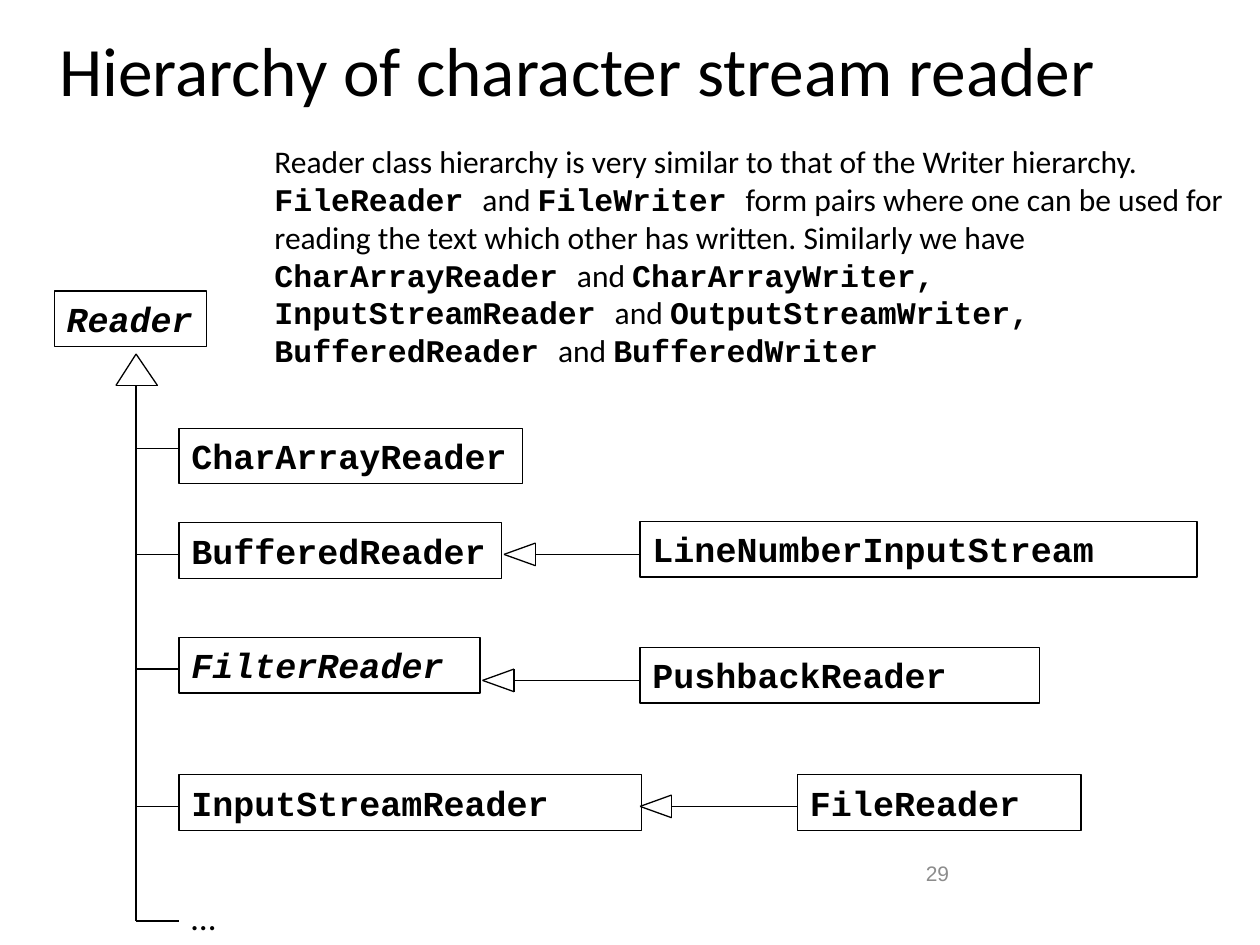
from dataclasses import dataclass
from pptx import Presentation
from pptx.dml.color import RGBColor
from pptx.enum.shapes import MSO_CONNECTOR, MSO_SHAPE
from pptx.enum.text import MSO_ANCHOR, MSO_AUTO_SIZE, PP_ALIGN
from pptx.oxml.ns import qn
from pptx.util import Inches, Pt
from lxml import etree


@dataclass(frozen=True)
class Theme:
    ink: RGBColor = RGBColor(0, 0, 0)
    paper: RGBColor = RGBColor(255, 255, 255)
    muted: RGBColor = RGBColor(0x8C, 0x8C, 0x8C)
    sans: str = "Calibri"
    code: str = "Courier New"
    number: str = "Arial"
    title_size: float = 39.6
    class_size: float = 20
    body_size: float = 18
    number_size: float = 12
    line_width: float = 0.75


class Diagram:
    def __init__(self, slide, theme):
        self.s, self.theme = slide, theme

    def fill_text(self, sp, paragraphs, anchor=MSO_ANCHOR.TOP, align=PP_ALIGN.LEFT,
                  wrap=True, grow=False, **style):
        """Each paragraph is a list of (text, font overrides)."""
        tf = sp.text_frame
        tf.auto_size = MSO_AUTO_SIZE.SHAPE_TO_FIT_TEXT if grow else MSO_AUTO_SIZE.NONE
        tf.word_wrap, tf.vertical_anchor = wrap, anchor
        for i, runs in enumerate(paragraphs):
            p = tf.add_paragraph() if i else tf.paragraphs[0]
            p.alignment = align
            for text, extra in runs:
                r = p.add_run()
                r.text = text
                fmt = {"name": self.theme.sans, "color": self.theme.ink, **style, **extra}
                r.font.color.rgb = fmt.pop("color")
                r.font.size = Pt(fmt.pop("size"))
                for key, value in fmt.items():
                    setattr(r.font, key, value)

    def text(self, at, paragraphs, **style):
        sp = self.s.shapes.add_textbox(*map(Inches, at))
        self.fill_text(sp, paragraphs, **style)

    def class_box(self, left, top, width, name, wrap=False, italic=False):
        sp = self.s.shapes.add_shape(
            MSO_SHAPE.RECTANGLE, *map(Inches, (left, top, width, BOX_HEIGHT)))
        sp.shadow.inherit = False
        sp.fill.background()
        sp.line.color.rgb = self.theme.ink
        sp.line.width = Pt(self.theme.line_width)
        self.fill_text(sp, [[(name, {})]], wrap=wrap, grow=True, name=self.theme.code,
                       size=self.theme.class_size, bold=True, italic=italic)

    def line(self, start, end, shapes=None):
        shapes = self.s.shapes if shapes is None else shapes
        c = shapes.add_connector(MSO_CONNECTOR.STRAIGHT, *map(Inches, (*start, *end)))
        c.line.color.rgb = self.theme.ink
        c.line.width = Pt(self.theme.line_width)
        etree.SubElement(c._element.spPr, qn("a:effectLst"))

    def triangle(self, tip, a, b):
        group = self.s.shapes.add_group_shape()
        for start, end in ((tip, a), (tip, b), (a, b)):
            self.line(start, end, group.shapes)

    def inherits(self, tip_x, y, from_x):
        """Hollow arrowhead pointing left, with its shaft."""
        base = tip_x + HEAD_LENGTH
        self.triangle((tip_x, y), (base, y - HEAD_HALF), (base, y + HEAD_HALF))
        self.line((base, y), (from_x, y))


BOX_HEIGHT, HEAD_LENGTH, HEAD_HALF = 0.44, 0.25, 0.09
TRUNK_X, BRANCH_X, TRUNK_TOP, TRUNK_END = 1.08, 1.42, 3.06, 7.31

theme = Theme()
prs = Presentation()
prs.slide_width, prs.slide_height = Inches(10), Inches(7.5)
s = prs.slides.add_slide(prs.slide_layouts[6])
s.background.fill.solid()
s.background.fill.fore_color.rgb = theme.paper
d = Diagram(s, theme)

# Title and page number
d.text((0.33, -0.08, 8.5, 1.25), [[("Hierarchy of character stream reader", {})]],
       anchor=MSO_ANCHOR.MIDDLE, align=PP_ALIGN.CENTER, size=theme.title_size)
d.text((7.25, 6.67, 2.33, 0.52), [[("29", {})]], anchor=MSO_ANCHOR.MIDDLE,
       name=theme.number, size=theme.number_size, color=theme.muted)

# Explanation
code = {"name": theme.code, "bold": True}
d.text((2.08, 1.08, 7.92, 2.22), [
    [("Reader class hierarchy is very similar to that of the Writer hierarchy. ", {})],
    [("FileReader ", code), ("and ", {}), ("FileWriter ", code),
     ("form pairs where one can be used for reading the text which other has written. "
      "Similarly we have ", {}),
     ("CharArrayReader ", code), ("and ", {}),
     ("CharArrayWriter, InputStreamReader ", code), ("and ", {}),
     ("OutputStreamWriter, BufferedReader ", code), ("and ", {}),
     ("BufferedWriter", code)],
], size=theme.body_size)

# Root class and trunk
d.class_box(0.43, 2.31, 1.21, "Reader", italic=True)
d.triangle((TRUNK_X, 2.81), (0.92, TRUNK_TOP), (1.25, TRUNK_TOP))
d.line((TRUNK_X, TRUNK_TOP), (TRUNK_X, TRUNK_END))

# Direct subclasses: box top, width, name, wrap, italic
for top, width, name, wrap, italic in (
        (3.4, 2.73, "CharArrayReader", False, False),
        (4.15, 2.56, "BufferedReader", False, False),
        (5.06, 2.39, "FilterReader ", False, True),
        (6.15, 3.67, "InputStreamReader", True, False)):
    d.class_box(BRANCH_X, top, width, name, wrap, italic)
for y in (3.56, 4.4, 5.31, 6.4, TRUNK_END):
    d.line((TRUNK_X, y), (BRANCH_X, y))
d.text((BRANCH_X, 7.06, 1.25, 0.44), [[("…", {})]], size=theme.class_size)

# Second-level subclasses: box left, top, width, name, arrow tip, arrow height
for left, top, width, name, tip_x, y in (
        (5.08, 4.14, 4.42, "LineNumberInputStream ", 4, 4.4),
        (5.08, 5.14, 3.17, "PushbackReader ", 3.83, 5.4),
        (6.33, 6.15, 2.25, "FileReader", 5.08, 6.4)):
    d.class_box(left, top, width, name, wrap=True)
    d.inherits(tip_x, y, left)

prs.save("out.pptx")
